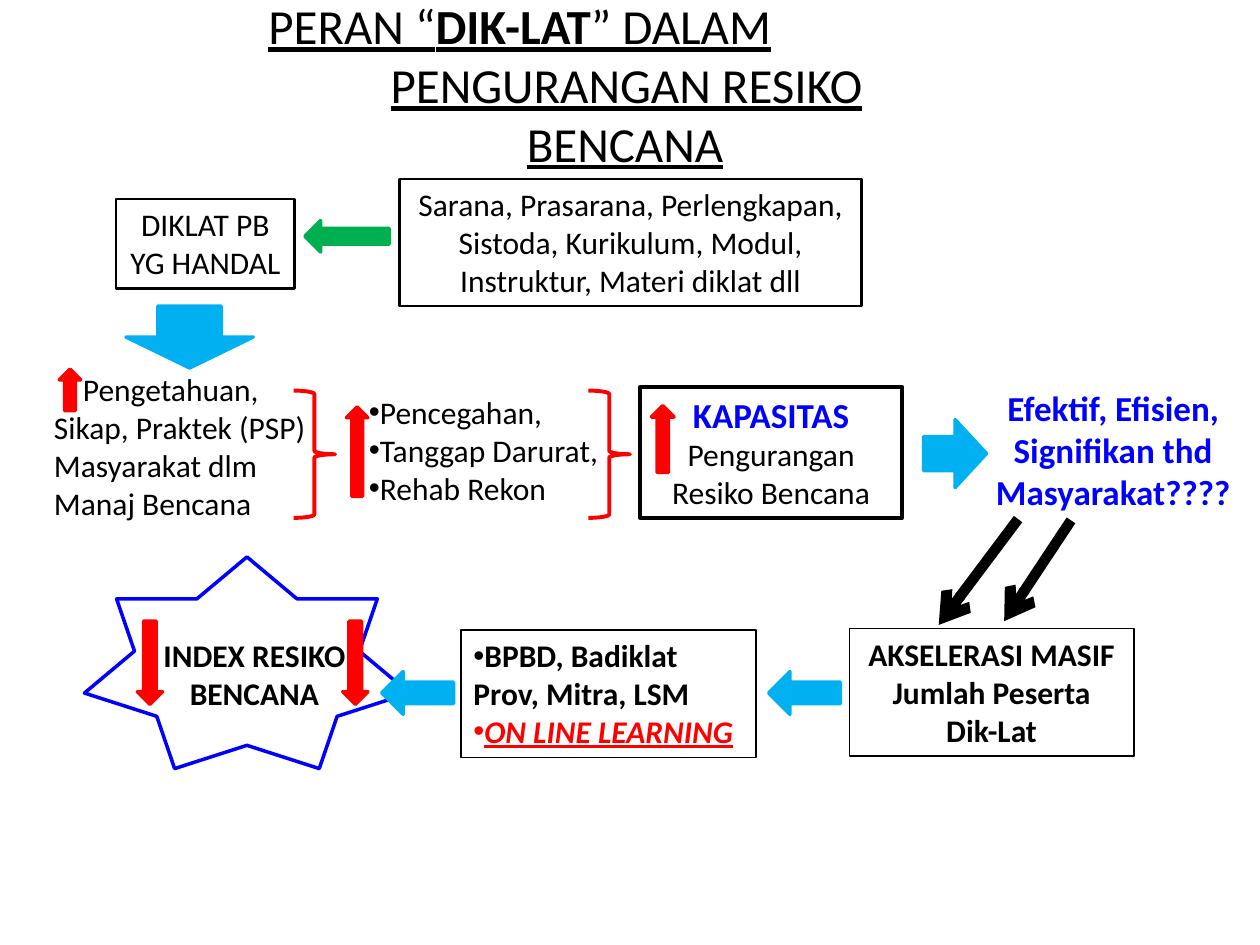
from dataclasses import dataclass
from typing import Optional

from lxml.etree import SubElement
from pptx import Presentation
from pptx.dml.color import RGBColor
from pptx.enum.shapes import MSO_CONNECTOR, MSO_SHAPE as Preset
from pptx.enum.text import MSO_ANCHOR as Anchor, MSO_AUTO_SIZE as AutoSize, PP_ALIGN as Align
from pptx.oxml.ns import qn
from pptx.util import Emu, Pt

PX_PER_INCH = 100
EMU_PER_PX = 914400 // PX_PER_INCH


@dataclass(frozen=True)
class Theme:
    font: str = "Calibri"
    black: str = "000000"
    red: str = "FF0000"
    green: str = "00B050"
    sky: str = "00B0F0"
    blue: str = "0000FF"
    title: int = 28
    emphasis: int = 20
    body: int = 18


THEME = Theme()


@dataclass(frozen=True)
class Box:
    left: int
    top: int
    width: int
    height: int


@dataclass(frozen=True)
class Run:
    text: str
    size: int = THEME.body
    color: str = THEME.black
    bold: bool = False
    italic: bool = False
    underline: bool = False


@dataclass(frozen=True)
class Line:
    runs: tuple[Run, ...]
    align: Align = Align.CENTER
    indent: int = 0
    tab: Optional[int] = None
    bullet: bool = False


@dataclass(frozen=True)
class Label:
    box: Box
    lines: tuple[Line, ...]
    border: float = 0


@dataclass(frozen=True)
class Figure:
    preset: Preset
    box: Box
    color: str
    weight: float = 2
    filled: bool = True
    rotation: int = 0


def px(length: int) -> Emu:
    return Emu(length * EMU_PER_PX)


def place(box: Box) -> tuple[Emu, ...]:
    return px(box.left), px(box.top), px(box.width), px(box.height)


def bold(text: str, **style) -> Run:
    return Run(text, bold=True, **style)


def heading(text: str, **style) -> Run:
    return Run(text, size=THEME.title, underline=True, **style)


def bullet(*runs: Run) -> Line:
    return Line(runs, align=Align.LEFT, bullet=True)


def write(frame, lines: tuple[Line, ...], *, anchor=Anchor.TOP, auto_size=AutoSize.SHAPE_TO_FIT_TEXT) -> None:
    frame.word_wrap = True
    frame.auto_size = auto_size
    frame.vertical_anchor = anchor
    for index, line in enumerate(lines):
        paragraph = frame.add_paragraph() if index else frame.paragraphs[0]
        paragraph.alignment = line.align
        properties = paragraph._p.get_or_add_pPr()
        properties.set("marL", "0")
        properties.set("indent", str(px(line.indent)))
        if line.bullet:
            SubElement(properties, qn("a:buFont"), typeface="Arial")
            SubElement(properties, qn("a:buChar"), char="•")
        if line.tab is not None:
            tabs = SubElement(properties, qn("a:tabLst"))
            SubElement(tabs, qn("a:tab"), pos=str(px(line.tab)), algn="l")
        for run in line.runs:
            write_run(paragraph, run)


def write_run(paragraph, run: Run) -> None:
    for index, part in enumerate(run.text.split("\v")):
        if index:
            paragraph.add_line_break()
        piece = paragraph.add_run()
        piece.text = part
        font = piece.font
        font.name, font.size = THEME.font, Pt(run.size)
        font.bold, font.italic, font.underline = run.bold, run.italic, run.underline
        font.color.rgb = RGBColor.from_string(run.color)


def outline(shape, color: str, weight: float) -> None:
    shape.line.color.rgb = RGBColor.from_string(color)
    shape.line.width = Pt(weight)


def draw_label(slide, label: Label) -> None:
    if label.border:
        shape = slide.shapes.add_shape(Preset.RECTANGLE, *place(label.box))
        shape.shadow.inherit = False
        shape.fill.background()
        outline(shape, THEME.black, label.border)
    else:
        shape = slide.shapes.add_textbox(*place(label.box))
    write(shape.text_frame, label.lines)


def draw_figure(slide, figure: Figure) -> None:
    shape = slide.shapes.add_shape(figure.preset, *place(figure.box))
    shape.shadow.inherit = False
    shape.rotation = figure.rotation
    if figure.filled:
        shape.fill.solid()
        shape.fill.fore_color.rgb = RGBColor.from_string(figure.color)
    else:
        shape.fill.background()
    outline(shape, figure.color, figure.weight)


def draw_arrow(slide, start: tuple[int, int], end: tuple[int, int]) -> None:
    arrow = slide.shapes.add_connector(MSO_CONNECTOR.STRAIGHT, *map(px, start + end))
    outline(arrow, THEME.black, 6)
    SubElement(arrow.line._get_or_add_ln(), qn("a:tailEnd"), type="arrow")
    SubElement(arrow._element.spPr, qn("a:effectLst"))


TITLE = (
    Line((heading("PERAN “"), heading("DIK-LAT", bold=True), heading("” DALAM\t")),
         align=Align.LEFT, indent=3, tab=568),
    Line((heading("\tPENGURANGAN RESIKO"),), align=Align.LEFT, indent=81, tab=117),
    Line((heading("BENCANA"),)),
)

LABELS = (
    Label(Box(33, 289, 233, 131), (
        Line((Run("Pengetahuan,\vSikap, Praktek (PSP)\vMasyarakat dlm\vManaj Bencana"),),
             align=Align.LEFT, indent=23),)),
    Label(Box(283, 307, 217, 101), tuple(
        bullet(Run(text)) for text in ("Pencegahan,", "Tanggap Darurat,", "Rehab Rekon"))),
    Label(Box(92, 158, 142, 71), (Line((Run("DIKLAT PB\vYG HANDAL"),)),), border=1.5),
    Label(Box(317, 142, 367, 101), (
        Line((Run("Sarana, Prasarana, Perlengkapan,\vSistoda, Kurikulum, Modul,\v"
                  "Instruktur, Materi diklat dll"),)),), border=1.5),
    Label(Box(508, 307, 208, 104), (
        Line((bold("KAPASITAS", size=THEME.emphasis, color=THEME.blue),
              Run("\vPengurangan\vResiko Bencana"))),), border=2.25),
    Label(Box(775, 302, 217, 111), (
        Line((bold("Efektif, Efisien,\vSignifikan thd\vMasyarakat????",
                   size=THEME.emphasis, color=THEME.blue),)),)),
    Label(Box(674, 499, 226, 101), (
        Line((bold("AKSELERASI MASIF\vJumlah Peserta\vDik-Lat"),)),), border=0.75),
    Label(Box(366, 500, 234, 101), (
        bullet(bold("BPBD, Badiklat\vProv, Mitra, LSM")),
        bullet(bold("ON LINE LEARNING", color=THEME.red, italic=True, underline=True))), border=0.75),
    Label(Box(89, 500, 226, 71), (Line((bold("INDEX RESIKO\vBENCANA"),)),)),
)

FIGURES = (
    Figure(Preset.LEFT_ARROW, Box(242, 175, 67, 25), THEME.green),
    Figure(Preset.DOWN_ARROW, Box(100, 243, 101, 49), THEME.sky),
    Figure(Preset.RIGHT_ARROW, Box(733, 333, 50, 54), THEME.sky),
    Figure(Preset.UP_ARROW, Box(47, 293, 17, 33), THEME.red),
    Figure(Preset.UP_ARROW, Box(275, 323, 17, 71), THEME.red),
    Figure(Preset.UP_ARROW, Box(517, 322, 18, 53), THEME.red),
    Figure(Preset.STAR_7_POINT, Box(67, 442, 258, 168), THEME.blue, filled=False),
    *(Figure(Preset.LEFT_BRACE, Box(left, 310, 33, 101), THEME.red, 2.25, filled=False, rotation=180)
      for left in (233, 467)),
    *(Figure(Preset.DOWN_ARROW, Box(left, 493, 20, 66), THEME.red) for left in (109, 272)),
    *(Figure(Preset.LEFT_ARROW, Box(left, 533, 57, 34), THEME.sky) for left in (303, 610)),
)

ARROWS = (((808, 412), (745, 496)), ((850, 413), (797, 493)))


def main() -> None:
    presentation = Presentation()
    presentation.slide_width, presentation.slide_height = px(1000), px(750)
    slide = presentation.slides.add_slide(presentation.slide_layouts[5])
    title = slide.shapes.title
    title.left, title.top, title.width, title.height = place(Box(200, 8, 592, 117))
    write(title.text_frame, TITLE, anchor=Anchor.MIDDLE, auto_size=AutoSize.NONE)
    for label in LABELS:
        draw_label(slide, label)
    for figure in FIGURES:
        draw_figure(slide, figure)
    for start, end in ARROWS:
        draw_arrow(slide, start, end)
    presentation.save("out.pptx")


if __name__ == "__main__":
    main()
